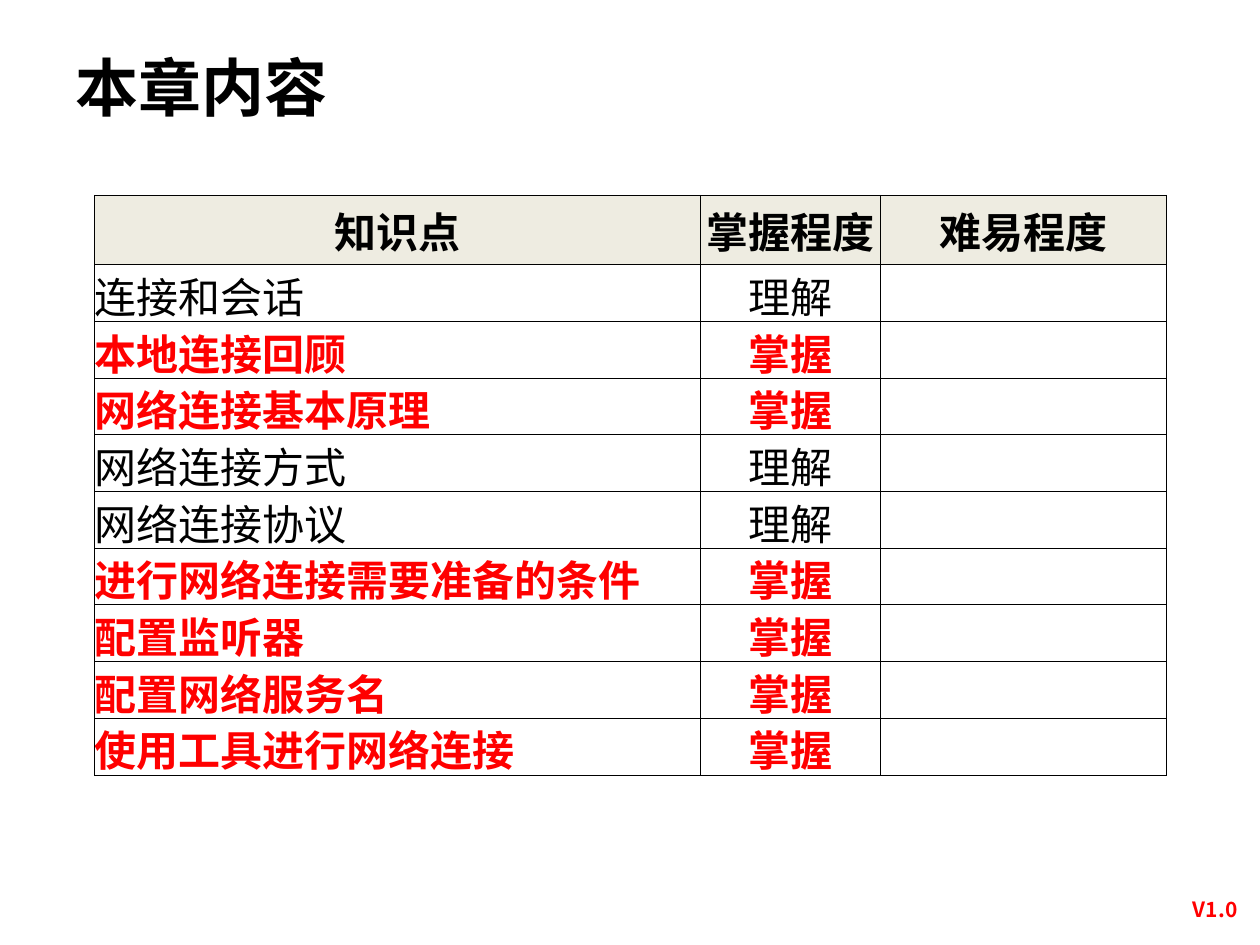
from typing import NamedTuple

from lxml import etree
from pptx import Presentation
from pptx.dml.color import RGBColor
from pptx.enum.text import MSO_ANCHOR, MSO_AUTO_SIZE, PP_ALIGN
from pptx.oxml.ns import qn
from pptx.util import Inches, Pt

LEFT, CENTER = PP_ALIGN.LEFT, PP_ALIGN.CENTER
MIDDLE = MSO_ANCHOR.MIDDLE
NO_AUTOFIT, GROW = MSO_AUTO_SIZE.NONE, MSO_AUTO_SIZE.SHAPE_TO_FIT_TEXT

FONT = "Noto Sans CJK SC"
BLACK, RED, HEADER_FILL = "000000", "FF0000", "EEECE1"
TITLE_ONLY = 5
COLUMN_WIDTHS = (4.81, 1.43, 2.27)
HEADER_HEIGHT, TOPIC_HEIGHT = 0.55, 0.45
BORDER_WIDTH = 0.5


class Topic(NamedTuple):
    name: str
    key: bool = False  # key topics must be mastered and stand out in red


HEADINGS = ("知识点", "掌握程度", "难易程度")
TOPICS = (
    Topic("连接和会话"),
    Topic("本地连接回顾", key=True),
    Topic("网络连接基本原理", key=True),
    Topic("网络连接方式"),
    Topic("网络连接协议"),
    Topic("进行网络连接需要准备的条件", key=True),
    Topic("配置监听器", key=True),
    Topic("配置网络服务名", key=True),
    Topic("使用工具进行网络连接", key=True),
)


def rgb(color: str) -> RGBColor:
    return RGBColor.from_string(color)


def write(frame, text: str, *, size: float = 24, color: str = BLACK,
          bold: bool = False, align=LEFT) -> None:
    paragraph = frame.paragraphs[0]
    paragraph.alignment = align
    run = paragraph.add_run()
    run.text = text
    font = run.font
    font.size, font.bold, font.name = Pt(size), bold, FONT
    font.color.rgb = rgb(color)
    # East Asian glyphs take their own typeface entry
    etree.SubElement(run._r.get_or_add_rPr(), qn("a:ea"), typeface=FONT)


def style_cell(cell, fill: str | None = None) -> None:
    cell.margin_left = cell.margin_right = 0
    cell.margin_top = cell.margin_bottom = 0
    cell.vertical_anchor = MIDDLE
    properties = cell._tc.get_or_add_tcPr()
    for side in ("a:lnL", "a:lnR", "a:lnT", "a:lnB"):
        border = etree.SubElement(properties, qn(side), w=str(Pt(BORDER_WIDTH)))
        solid = etree.SubElement(border, qn("a:solidFill"))
        etree.SubElement(solid, qn("a:srgbClr"), val=BLACK)
    if fill:
        cell.fill.solid()
        cell.fill.fore_color.rgb = rgb(fill)
    else:
        cell.fill.background()


def add_title(slide, text: str) -> None:
    title = slide.shapes.title
    title.left, title.top = Inches(0.5), Inches(0.3)
    title.width, title.height = Inches(7.97), Inches(0.77)
    frame = title.text_frame
    frame.auto_size = NO_AUTOFIT
    frame.vertical_anchor = MIDDLE
    write(frame, text, size=36, bold=True)


def add_version(slide, text: str) -> None:
    version = slide.shapes.add_textbox(
        Inches(9.25), Inches(7.07), Inches(0.79), Inches(0.3))
    frame = version.text_frame
    frame.word_wrap = True
    frame.auto_size = GROW
    write(frame, text, size=12, color=RED, bold=True, align=CENTER)


def add_topic_table(slide) -> None:
    table = slide.shapes.add_table(
        len(TOPICS) + 1, len(HEADINGS),
        Inches(0.75), Inches(1.55), Inches(8.5), Inches(4.57)).table
    for column, width in zip(table.columns, COLUMN_WIDTHS):
        column.width = Inches(width)
    for row in table.rows:
        row.height = Inches(TOPIC_HEIGHT)
    table.rows[0].height = Inches(HEADER_HEIGHT)

    # Header row
    for column, heading in enumerate(HEADINGS):
        cell = table.cell(0, column)
        style_cell(cell, HEADER_FILL)
        write(cell.text_frame, heading, bold=True, align=CENTER)

    # Topic rows; the difficulty column stays empty
    for row, topic in enumerate(TOPICS, start=1):
        for column in range(len(HEADINGS)):
            style_cell(table.cell(row, column))
        color = RED if topic.key else BLACK
        level = "掌握" if topic.key else "理解"
        write(table.cell(row, 0).text_frame, topic.name,
              color=color, bold=topic.key)
        write(table.cell(row, 1).text_frame, level,
              color=color, bold=topic.key, align=CENTER)


def main() -> None:
    deck = Presentation()
    deck.slide_width, deck.slide_height = Inches(10), Inches(7.5)
    slide = deck.slides.add_slide(deck.slide_layouts[TITLE_ONLY])
    add_version(slide, "V1.0")
    add_title(slide, "本章内容")
    add_topic_table(slide)
    deck.save("out.pptx")


if __name__ == "__main__":
    main()
